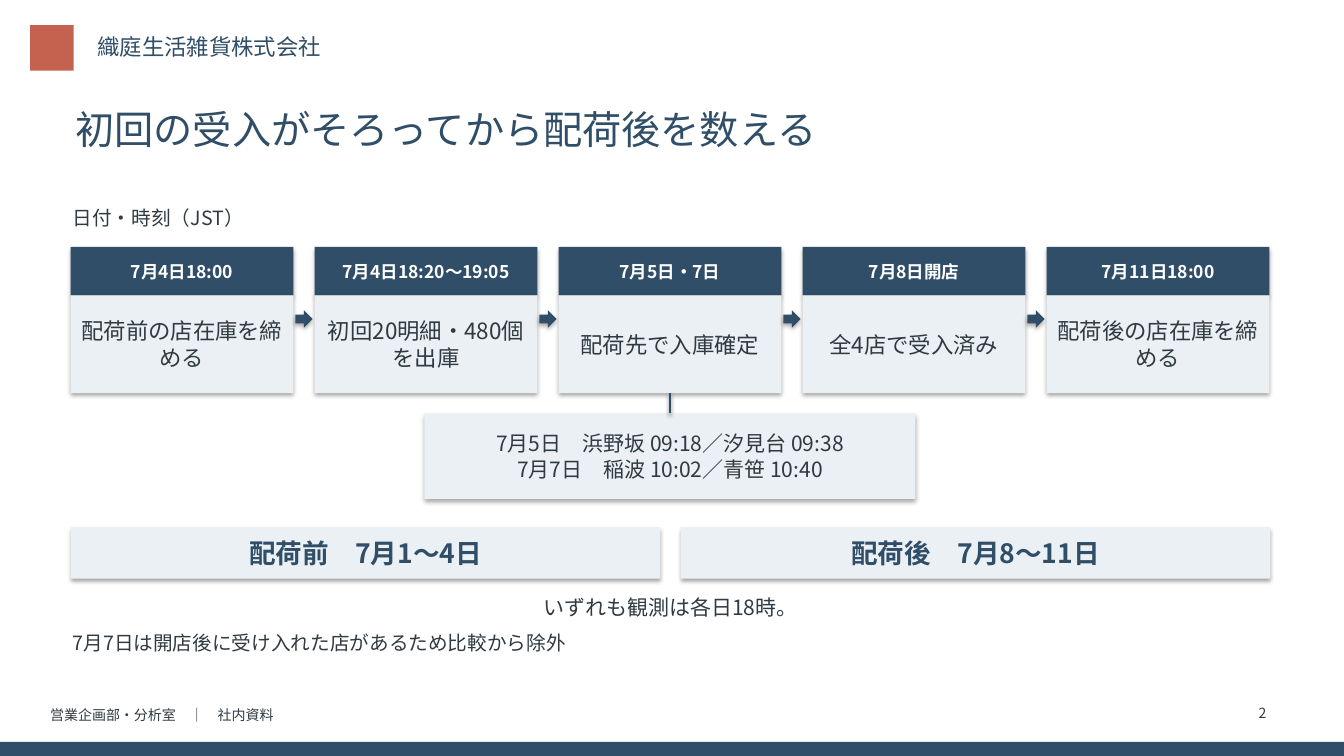
from lxml import etree
from pptx import Presentation
from pptx.dml.color import RGBColor
from pptx.enum.shapes import MSO_CONNECTOR, MSO_SHAPE
from pptx.enum.text import MSO_ANCHOR, MSO_AUTO_SIZE, PP_ALIGN
from pptx.oxml.ns import qn
from pptx.util import Pt

RECT, ARROW = MSO_SHAPE.RECTANGLE, MSO_SHAPE.RIGHT_ARROW
STRAIGHT = MSO_CONNECTOR.STRAIGHT
TOP, MIDDLE = MSO_ANCHOR.TOP, MSO_ANCHOR.MIDDLE
LEFT, CENTER, RIGHT = PP_ALIGN.LEFT, PP_ALIGN.CENTER, PP_ALIGN.RIGHT
GROW, FIXED = MSO_AUTO_SIZE.SHAPE_TO_FIT_TEXT, MSO_AUTO_SIZE.NONE

EMU_PER_PX = 9144  # 100 px to the inch
FONT = "Noto Sans CJK JP"
NAVY, RUST, PALE, INK, WHITE = "304E67", "C5614F", "EAF0F3", "303A42", "FFFFFF"

MARGIN = 70
CONTENT_W = 1190
STEP_W, STEP_PITCH = 221, 242
STEP_TOP, HEAD_H, BODY_H = 245, 48, 97
PERIOD_W, PERIOD_PITCH = 585, 605

STEPS = [
    ("7月4日18:00", "配荷前の店在庫を締める"),
    ("7月4日18:20〜19:05", "初回20明細・480個を出庫"),
    ("7月5日・7日", "配荷先で入庫確定"),
    ("7月8日開店", "全4店で受入済み"),
    ("7月11日18:00", "配荷後の店在庫を締める"),
]
RECEIPT_STEP = 2
RECEIPTS = ["7月5日　浜野坂 09:18／汐見台 09:38", "7月7日　稲波 10:02／青笹 10:40"]
PERIODS = ["配荷前　7月1〜4日", "配荷後　7月8〜11日"]


def px(n):
    return n * EMU_PER_PX


def box(*lengths):
    return [px(n) for n in lengths]


def rgb(value):
    return RGBColor.from_string(value)


def write(sp, lines, size, color, bold=False, align=LEFT, inset=None, **frame):
    """Fill a shape with paragraphs; inset is (side, top and bottom) in px."""
    tf = sp.text_frame
    if inset:
        side, edge = box(*inset)
        frame.update(margin_left=side, margin_right=side,
                     margin_top=edge, margin_bottom=edge)
    for name, value in frame.items():
        setattr(tf, name, value)
    for i, line in enumerate(lines):
        p = tf.add_paragraph() if i else tf.paragraphs[0]
        p.alignment = align
        r = p.add_run()
        r.text = line
        for name, value in dict(name=FONT, size=Pt(size), bold=bold).items():
            setattr(r.font, name, value)
        r.font.color.rgb = rgb(color)
        etree.SubElement(r.font._element, qn("a:ea"), typeface=FONT)


def add_block(slide, at, fill, kind=RECT, shadow=True):
    """Add a filled shape without outline, with the theme shadow if wanted."""
    sp = slide.shapes.add_shape(kind, *box(*at))
    sp.fill.solid()
    sp.fill.fore_color.rgb = rgb(fill)
    sp.line.fill.background()
    if not shadow:
        sp.shadow.inherit = False
    return sp


def add_card(slide, at, fill, lines, size, color, bold=False):
    sp = add_block(slide, at, fill)
    write(sp, lines, size, color, bold, CENTER, (8, 2),
          word_wrap=True, vertical_anchor=MIDDLE)
    return sp


def add_text(slide, at, text, size, color, wrap=True, grow=GROW, **style):
    sp = slide.shapes.add_textbox(*box(*at))
    write(sp, [text], size, color, word_wrap=wrap, auto_size=grow, **style)


def add_note(slide, at, text, size, align=LEFT):
    add_text(slide, at, text, size, INK, align=align, inset=(2, 2),
             vertical_anchor=MIDDLE)


def add_frame(slide):
    """Add the company header, the title and the footer."""
    add_block(slide, (30, 25, 43, 45), RUST, shadow=False)
    add_block(slide, (0, 736, 1333, 14), NAVY, shadow=False)
    add_text(slide, (87, 28, 600, 40), "織庭生活雑貨株式会社", 16, NAVY, wrap=False)
    add_text(slide, (40, 696, 900, 25), "営業企画部・分析室　｜　社内資料", 10, INK,
             wrap=False)
    add_text(slide, (65, 100, 1200, 70), "初回の受入がそろってから配荷後を数える",
             28, NAVY, grow=FIXED, vertical_anchor=TOP)
    add_note(slide, (1200, 695, 58, 25), "2", 10, RIGHT)


def add_steps(slide):
    """Add the dated steps with arrows between them; return the step bodies."""
    bodies = []
    for i, (date, action) in enumerate(STEPS):
        x = MARGIN + i * STEP_PITCH
        add_card(slide, (x, STEP_TOP, STEP_W, HEAD_H), NAVY, [date], 12.5, WHITE, True)
        bodies.append(add_card(slide, (x, STEP_TOP + HEAD_H, STEP_W, BODY_H),
                               PALE, [action], 16, INK))
        if i < len(STEPS) - 1:
            add_block(slide, (x + STEP_W + 2, 308, 17, 17), NAVY, ARROW)
    return bodies


def add_link(slide, upper, lower):
    line = slide.shapes.add_connector(STRAIGHT, 0, 0, 0, 0)
    line.begin_connect(upper, 2)
    line.end_connect(lower, 0)
    line.line.color.rgb = rgb(NAVY)
    line.line.width = Pt(2)


def main():
    prs = Presentation()
    prs.slide_width, prs.slide_height = box(1333, 750)
    slide = prs.slides.add_slide(prs.slide_layouts[6])
    add_frame(slide)
    add_note(slide, (MARGIN, 200, CONTENT_W, 32), "日付・時刻（JST）", 14)
    bodies = add_steps(slide)
    receipts = add_card(slide, (421, 410, 487, 85), PALE, RECEIPTS, 15, INK)
    add_link(slide, bodies[RECEIPT_STEP], receipts)
    for i, period in enumerate(PERIODS):
        add_card(slide, (MARGIN + i * PERIOD_PITCH, 523, PERIOD_W, 51),
                 PALE, [period], 19, NAVY, True)
    add_note(slide, (MARGIN, 585, CONTENT_W, 35), "いずれも観測は各日18時。", 15, CENTER)
    add_note(slide, (MARGIN, 622, CONTENT_W, 32),
             "7月7日は開店後に受け入れた店があるため比較から除外", 14)
    prs.save("out.pptx")


if __name__ == "__main__":
    main()
